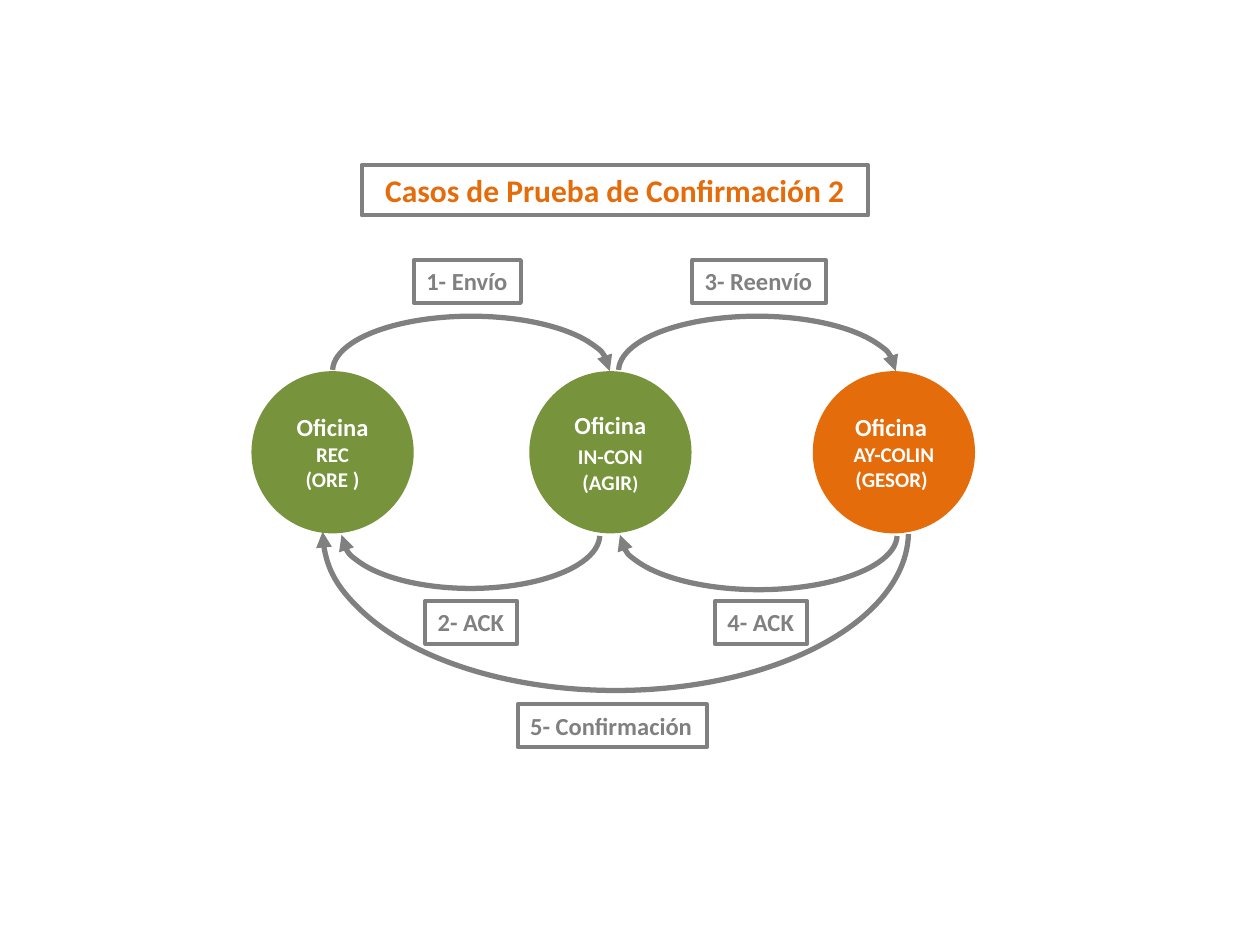
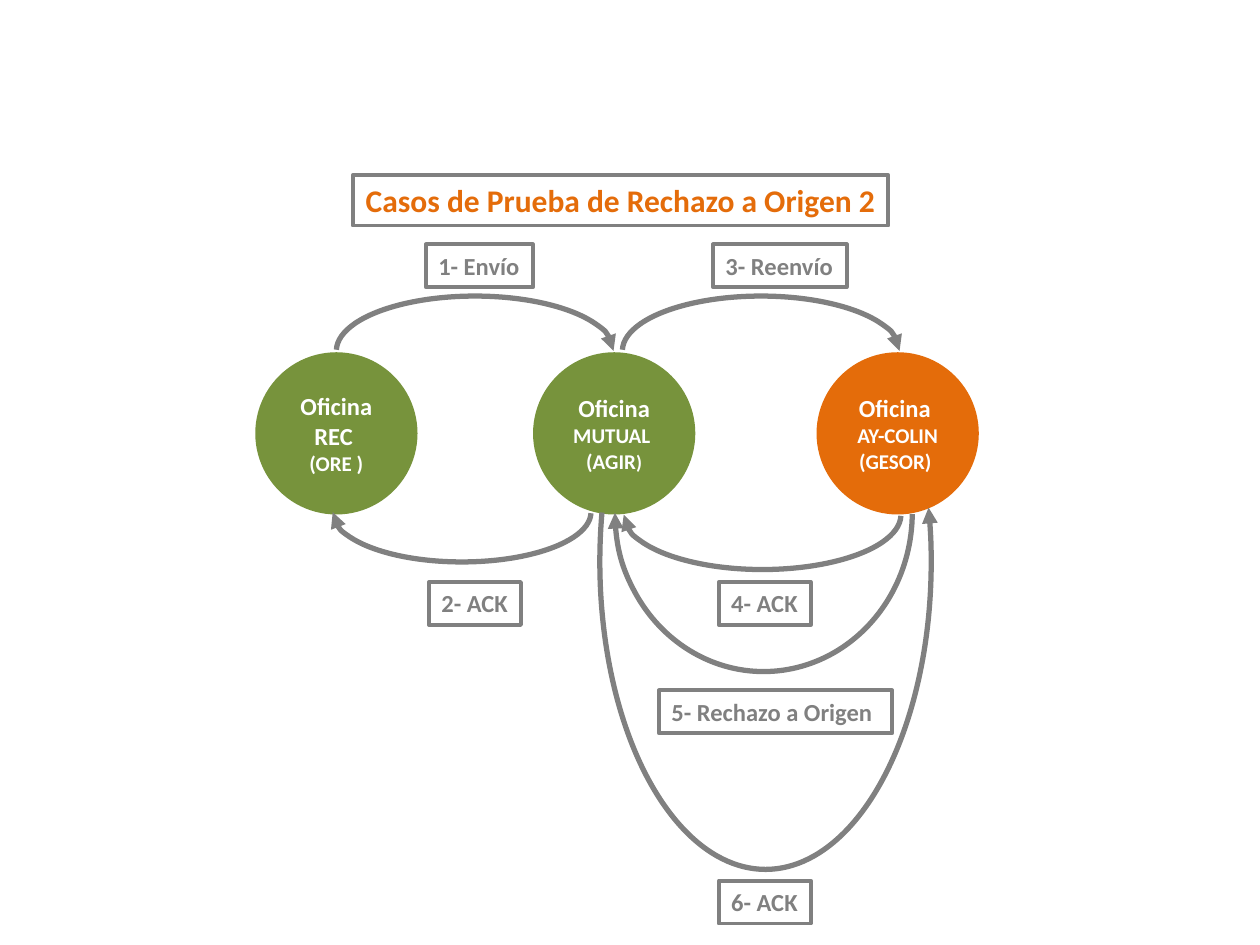
from pptx import Presentation
from pptx.dml.color import RGBColor
from pptx.enum.shapes import MSO_SHAPE
from pptx.enum.text import MSO_ANCHOR, MSO_AUTO_SIZE, PP_ALIGN
from pptx.oxml.ns import qn
from pptx.util import Inches, Pt
from lxml.etree import SubElement

GREEN, ORANGE, GREY, WHITE = "77933C", "E46C0A", "808080", "FFFFFF"
FONT = "Calibri"
COLS, ROWS = 100, 75            # grid over the whole slide
DIAMETER = 12.6                 # office circle, in grid units
OFFICE_X = (0, 22.05, 44.55)    # left edges of the three offices
LABEL_H = 3.4
HALF_TURN = (108.28, 0)         # arc from left to right over the top


def rgb(hex_string):
    return RGBColor.from_string(hex_string)


class Diagram:
    """Shared style and the current slide; places are relative to an origin."""

    def __init__(self, prs):
        self.prs = prs

    def start(self, title, title_box, origin):
        self.s = self.prs.slides.add_slide(self.prs.slide_layouts[5])
        self.s.background.fill.solid()
        self.s.background.fill.fore_color.rgb = rgb(WHITE)
        self.origin = origin
        self.title(title, *title_box)

    def place(self, x, y, w, h):
        col, row = self.prs.slide_width / COLS, self.prs.slide_height / ROWS
        left, top = self.origin
        return (round((left + x) * col), round((top + y) * row),
                round(w * col), round(h * row))

    def outline(self, shape, color, width):
        shape.line.color.rgb = rgb(color)
        shape.line.width = Pt(width)

    def format(self, r, size, color):
        r.font.name, r.font.size, r.font.bold = FONT, Pt(size), True
        r.font.color.rgb = rgb(color)

    def title(self, text, x, y, w, h):
        sp = self.s.shapes.title
        left, top = self.origin
        sp.left, sp.top, sp.width, sp.height = self.place(x - left, y - top, w, h)
        self.outline(sp, GREY, 2.25)
        tf = sp.text_frame
        tf.text = text
        tf.word_wrap = True
        tf.auto_size = MSO_AUTO_SIZE.NONE   # the frame keeps its one-line height
        tf.vertical_anchor = MSO_ANCHOR.MIDDLE
        tf.paragraphs[0].alignment = PP_ALIGN.CENTER
        self.format(tf.paragraphs[0].runs[0], 18, ORANGE)

    def shape(self, kind, *box):
        sp = self.s.shapes.add_shape(kind, *self.place(*box))
        sp.shadow.inherit = False
        return sp

    def office(self, x, color, paragraphs):
        sp = self.shape(MSO_SHAPE.OVAL, x, 0, DIAMETER, DIAMETER)
        sp.fill.solid()
        sp.fill.fore_color.rgb = rgb(color)
        self.outline(sp, color, 2)
        tf = sp.text_frame
        tf.vertical_anchor = MSO_ANCHOR.MIDDLE
        for i, runs in enumerate(paragraphs):
            p = tf.add_paragraph() if i else tf.paragraphs[0]
            p.alignment = PP_ALIGN.CENTER
            for text, size in runs:
                r = p.add_run()
                r.text = text
                self.format(r, size, WHITE)

    def arrow(self, x, y, w, h, below=False, angles=HALF_TURN, end="a:tailEnd"):
        sp = self.shape(MSO_SHAPE.ARC, x, y, w, h)
        sp.adjustments[0], sp.adjustments[1] = angles
        sp.rotation = 180 if below else 0
        sp.fill.background()
        self.outline(sp, GREY, 3)
        line = sp._element.spPr.find(qn("a:ln"))
        SubElement(line, qn(end)).set("type", "triangle")

    def label(self, text, x, y, w):
        sp = self.s.shapes.add_textbox(*self.place(x, y, w, LABEL_H))
        self.outline(sp, GREY, 2.25)
        tf = sp.text_frame
        tf.text = text
        tf.word_wrap = False
        tf.auto_size = MSO_AUTO_SIZE.SHAPE_TO_FIT_TEXT
        self.format(tf.paragraphs[0].runs[0], 14, GREY)

    def exchange(self, first, second, label_x, label_y, arc_y, first_ack):
        """Three offices with the four messages common to every case."""
        third = [[("Oficina ", 14)], [("AY-COLIN", 12)], [("(GESOR) ", 12)]]
        colors = (GREEN, GREEN, ORANGE)
        for x, color, text in zip(OFFICE_X, colors, (first, second, third)):
            self.office(x, color, text)
        for x in (6.3, 29):
            self.arrow(x, arc_y, 22, 8.7)
        self.arrow(*first_ack, below=True)
        self.arrow(29.1, arc_y + 13, 22, 8.7, below=True)
        self.label("1- Envío", label_x[0], label_y, 8.5)
        self.label("3- Reenvío", label_x[1], label_y, 10.6)
        self.label("2- ACK", 13.65, 18.1, 7.3)
        self.label("4- ACK", 36.65, 18.1, 7.3)


prs = Presentation()
prs.slide_width, prs.slide_height = Inches(10), Inches(7.5)
d = Diagram(prs)

# Slide 1: confirmation
d.start("Casos de Prueba de Confirmación 2", (28.7, 13.1, 40.2, 4), (20.1, 29.6))
d.exchange(
    first=[[("Oficina ", 14), ("REC", 12)], [("(ORE )", 12)]],
    second=[[("Oficina ", 14), ("IN-CON", 12), (" ", 14), ("(AGIR", 12), (")", 11)]],
    label_x=(12.75, 34.85), label_y=-8.95, arc_y=-4.5,
    first_ack=(7, 8.6, 20.5, 8.5))
d.arrow(5.5, 0, 46.5, 25.2, below=True)
d.label("5- Confirmación", 21, 26.3, 15)

# Slide 2: rejection to origin
d.start("Casos de Prueba de Rechazo a Origen 2", (28, 13.9, 42.5, 4), (20.4, 28.1))
d.exchange(
    first=[[("Oficina REC ", 14)], [("(ORE )", 12)]],
    second=[[("Oficina ", 14), ("MUTUAL ", 12)], [("(AGIR", 12), (")", 11)]],
    label_x=(13.4, 36.2), label_y=-8.7, arc_y=-4.6,
    first_ack=(6, 8.6, 20.5, 7.9))
d.arrow(28.4, 0, 23.6, 25.2, below=True)
d.label("5- Rechazo a Origen ", 31.9, 26.7, 18.5)
d.arrow(27.2, -7.9, 26.3, 48.8, below=True, angles=(96.94, 10.1), end="a:headEnd")
d.label("6- ACK", 36.65, 41.8, 7.3)

prs.save("out.pptx")
